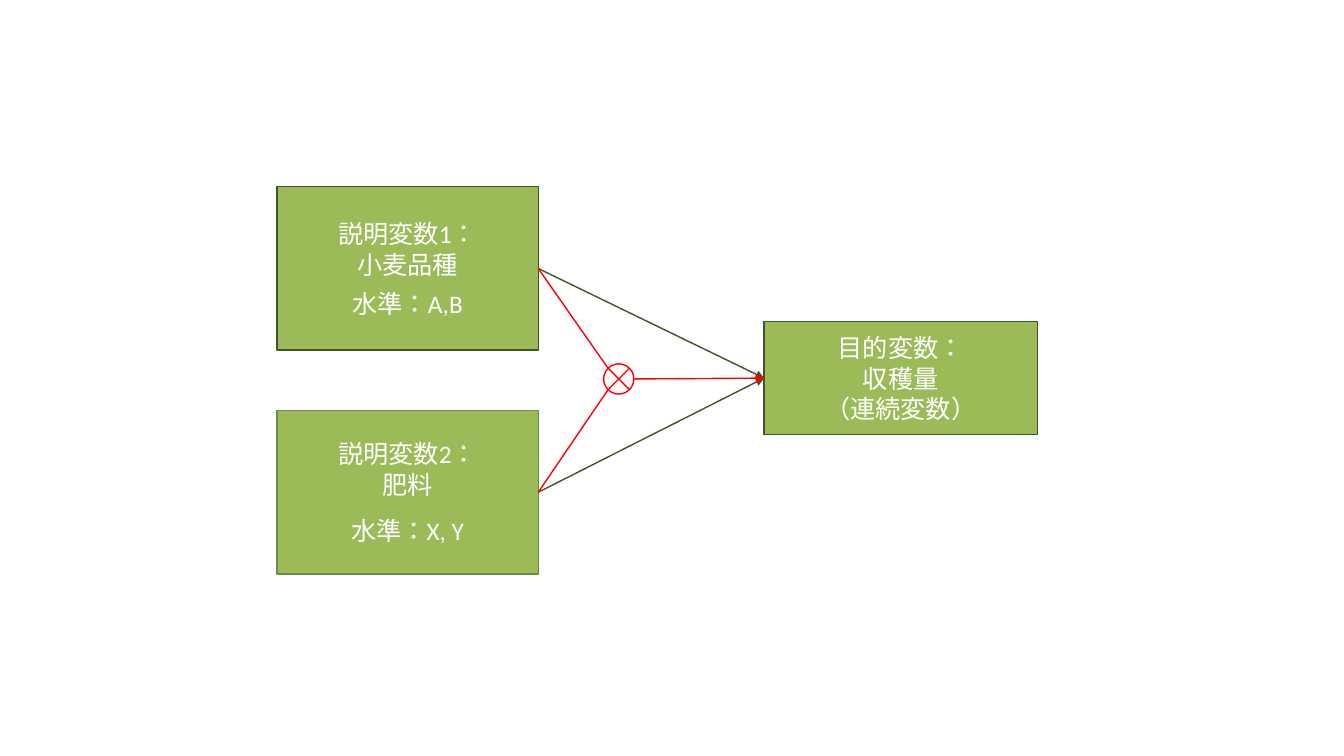
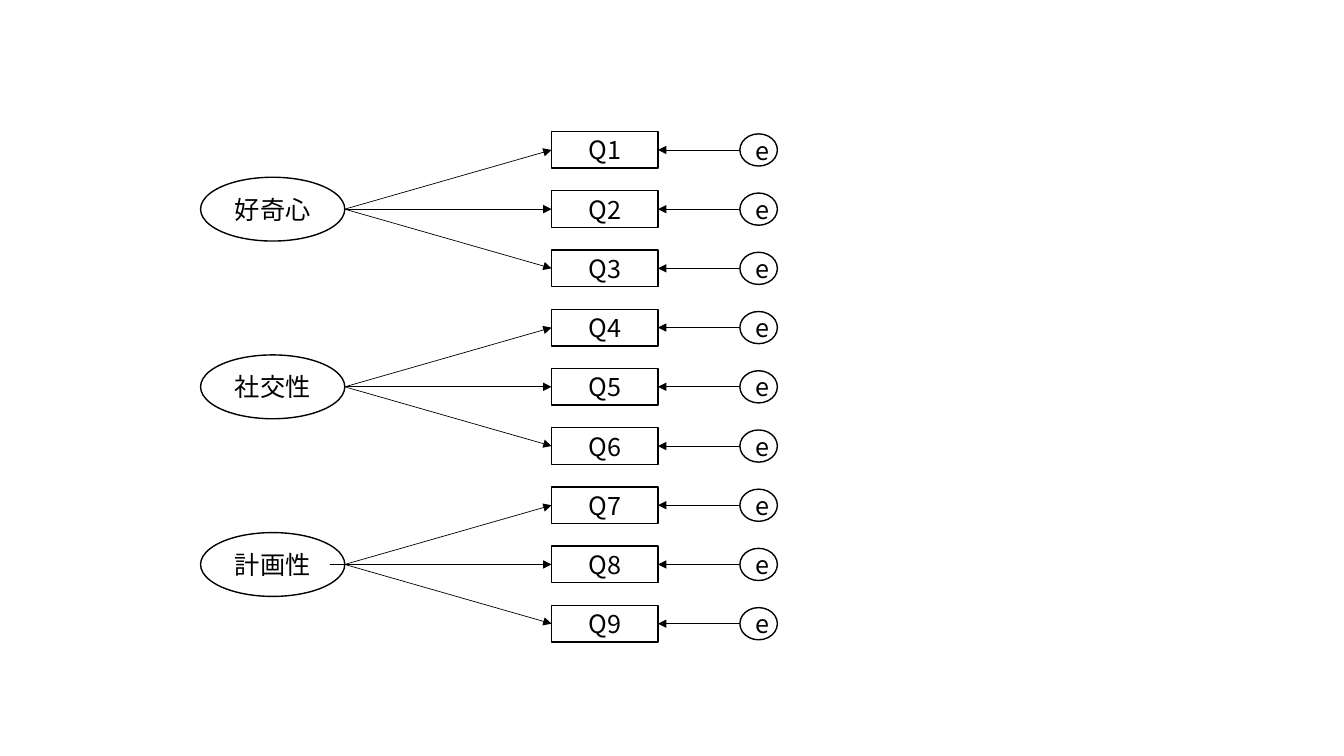
from math import sqrt

from lxml.etree import SubElement
from pptx import Presentation
from pptx.dml.color import RGBColor
from pptx.enum.shapes import MSO_CONNECTOR as Line, MSO_SHAPE as Kind
from pptx.enum.text import MSO_ANCHOR as Anchor, PP_ALIGN as Align
from pptx.oxml.ns import qn
from pptx.util import Pt

LATIN, ASIAN = "Calibri", "Noto Sans CJK JP"
WHITE, BLACK, RED = "FFFFFF", "000000", "FF0000"
GREEN, DARK, OLIVE = "9BBB59", "445227", "738A42"
LEFT, RIGHT = 1, 3


def color(code):
    return RGBColor.from_string(code)


def write(para, text, font, ink):
    """Add text to a paragraph, with a line break at each newline."""
    para.alignment = Align.CENTER
    for i, part in enumerate(text.split("\n")):
        if i:
            para.add_line_break()
        run = para.add_run()
        run.text = part
        run.font.name = font
        run.font.size = Pt(18)
        run.font.color.rgb = color(ink)
        props = run.font._element
        props.set("lang", "ja-JP")
        SubElement(props, qn("a:ea"), typeface=ASIAN)


def node(slide, kind, box, texts=(), fill=WHITE, edge=BLACK,
         font=ASIAN, ink=BLACK, gap=0):
    """Draw a shape; gap is the space before each paragraph but the first."""
    shape = slide.shapes.add_shape(kind, *map(Pt, box))
    shape.shadow.inherit = False
    shape.fill.solid()
    shape.fill.fore_color.rgb = color(fill)
    shape.line.color.rgb = color(edge)
    shape.line.width = Pt(1)
    frame = shape.text_frame
    frame.vertical_anchor = Anchor.MIDDLE
    for i, text in enumerate(texts):
        para = frame.add_paragraph() if i else frame.paragraphs[0]
        if i and gap:
            para.space_before = Pt(gap)
        write(para, text, font, ink)
    return shape


def link(slide, start, end, ink, width=1, arrow=False):
    """Join two ends, each a point (x, y) or a rectangle's (shape, side)."""
    points = [(0, 0) if hasattr(e[0], "shape_id") else e for e in (start, end)]
    line = slide.shapes.add_connector(
        Line.STRAIGHT, *(Pt(v) for point in points for v in point))
    if hasattr(start[0], "shape_id"):
        line.begin_connect(*start)
    if hasattr(end[0], "shape_id"):
        line.end_connect(*end)
    line.line.color.rgb = color(ink)
    line.line.width = Pt(width)
    if arrow:
        SubElement(line.line._get_or_add_ln(), qn("a:tailEnd"), type="triangle")
    SubElement(line._element.spPr, qn("a:effectLst"))


def effects(slide):
    """Two factors, their interaction and the outcome."""
    style = dict(fill=GREEN, font=LATIN, ink=WHITE)
    yields = node(slide, Kind.RECTANGLE, (545.8, 229.6, 195.2, 81),
                  ["目的変数：", "収穫量", "（連続変数）"], edge=DARK, **style)
    factors = []
    for top, texts, edge, gap in (
            (133.4, ["説明変数1：\n小麦品種", "水準：A,B"], DARK, 6.5),
            (293.2, ["説明変数2：\n肥料", "水準：X, Y"], OLIVE, 11.5)):
        box = node(slide, Kind.RECTANGLE, (197.8, top, 186.7, 116.8),
                   texts, edge=edge, gap=gap, **style)
        factors.append(box)
        link(slide, (box, RIGHT), (yields, LEFT), DARK, arrow=True)

    x, y, r = 442, 270.7, 10.8
    d = r / sqrt(2)
    node(slide, Kind.OVAL, (x - r, y - r, 2 * r, 2 * r), edge=RED)
    for box, side in zip(factors, (-1, 1)):
        link(slide, (box, RIGHT), (x - d, y + side * d), RED)
    link(slide, (x + r, y), (yields, LEFT), RED, arrow=True)
    for side in (-1, 1):
        link(slide, (x - d, y + side * d), (x + d, y - side * d), RED)


def traits(slide):
    """Three traits, three questions for each, and one error per question."""
    first, step, group = 107.1, 42.3, 3
    names = ["好奇心", "社交性", "計画性"]
    mids = [first + step * i for i in range(group * len(names))]
    centers = mids[1::group]
    left, wide, high = 143.3, 103, 45.6
    for name, y in zip(names, centers):
        node(slide, Kind.OVAL, (left, y - high / 2, wide, high), [name])
    items = [node(slide, Kind.RECTANGLE, (394, y - 13.1, 76, 26.2), [f"Q{i}"])
             for i, y in enumerate(mids, 1)]
    for i, item in enumerate(items):
        # The line to Q8 starts inside its oval
        x = 235.5 if i == 7 else left + wide
        link(slide, (x, centers[i // group]), (item, LEFT), BLACK, 0.5, True)
    for item, y in zip(items, mids):
        node(slide, Kind.OVAL, (528.5, y - 11.5, 26.8, 23), ["e"])
        link(slide, (528.5, y), (item, RIGHT), BLACK, 0.5, True)


def main():
    deck = Presentation()
    deck.slide_width, deck.slide_height = Pt(960), Pt(540)
    blank = deck.slide_layouts[6]
    for draw in (effects, traits):
        draw(deck.slides.add_slide(blank))
    deck.save("out.pptx")


if __name__ == "__main__":
    main()
